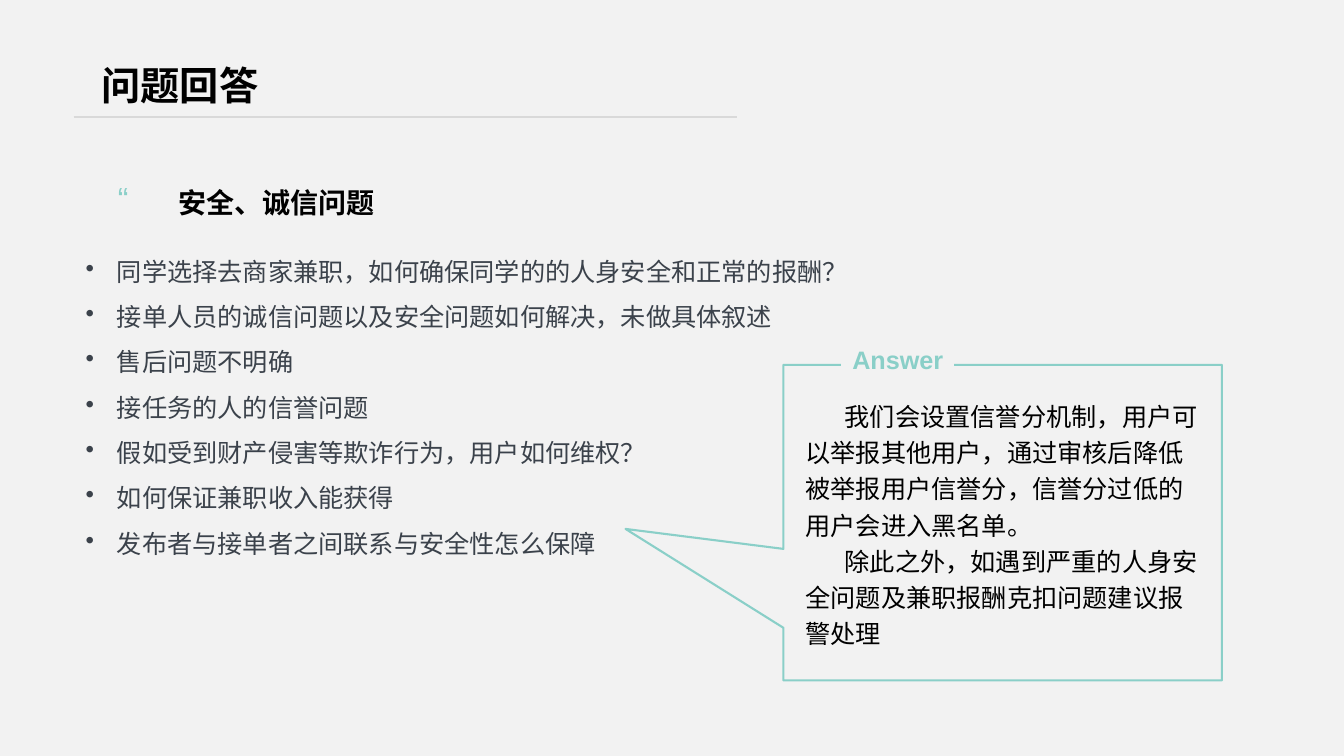
from dataclasses import dataclass

from lxml import etree
from pptx import Presentation
from pptx.dml.color import RGBColor
from pptx.enum.shapes import MSO_CONNECTOR, MSO_SHAPE
from pptx.enum.text import MSO_ANCHOR, PP_ALIGN
from pptx.oxml.ns import qn
from pptx.util import Inches, Pt

STRAIGHT = MSO_CONNECTOR.STRAIGHT
RECTANGLE, CALLOUT = MSO_SHAPE.RECTANGLE, MSO_SHAPE.RECTANGULAR_CALLOUT
TOP, MIDDLE, BOTTOM = MSO_ANCHOR.TOP, MSO_ANCHOR.MIDDLE, MSO_ANCHOR.BOTTOM
LEFT, CENTER = PP_ALIGN.LEFT, PP_ALIGN.CENTER


@dataclass(frozen=True)
class Theme:
    font: str = "Arial"
    paper: RGBColor = RGBColor(0xF2, 0xF2, 0xF2)
    ink: RGBColor = RGBColor(0, 0, 0)
    slate: RGBColor = RGBColor(0x3B, 0x42, 0x4B)
    mint: RGBColor = RGBColor(0x8A, 0xCF, 0xC8)
    rule: RGBColor = RGBColor(0xD9, 0xD9, 0xD9)
    title: float = 28
    quote: float = 22.8
    heading: float = 20
    body: float = 18
    stroke: float = 1.5


theme = Theme()
deck = Presentation()
deck.slide_width, deck.slide_height = Inches(13.33), Inches(7.5)
slide = deck.slides.add_slide(deck.slide_layouts[6])
slide.background.fill.solid()
slide.background.fill.fore_color.rgb = theme.paper


def place(left, top, width, height):
    column, row = deck.slide_width / 100, deck.slide_height / 100
    return [round(n) for n in (left * column, top * row, width * column, height * row)]


def write(holder, lines, size, color, bold=False, spacing=1.0, anchor=TOP,
          align=LEFT, margin=0.0, indent=0.0, bullet=None):
    frame = holder.text_frame
    frame.word_wrap = True
    frame.vertical_anchor = anchor
    frame.text = "\n".join(lines)
    for line in frame.paragraphs:
        line.alignment, line.line_spacing = align, spacing
        line.font.name, line.font.size = theme.font, Pt(size)
        line.font.bold, line.font.color.rgb = bold, color
        layout = line._p.get_or_add_pPr()
        layout.set("marL", str(Inches(margin)))
        layout.set("indent", str(Inches(indent)))
        if bullet:
            mark = etree.Element(qn("a:buChar"), char=bullet)
            layout.insert_element_before(mark, "a:tabLst", "a:defRPr", "a:extLst")


heading = slide.shapes.add_textbox(*place(12.53, 23.87, 45.84, 6.4))
write(heading, ["安全、诚信问题"], theme.heading, theme.ink, bold=True)

title = slide.shapes.add_textbox(*place(5.48, 4, 89.05, 11.07))
write(title, ["问题回答"], theme.title, theme.ink, bold=True, spacing=0.9,
      anchor=BOTTOM, margin=0.18)

rule_left, rule_top, rule_width, _ = place(5.48, 15.47, 49.36, 0)
title_rule = slide.shapes.add_connector(
    STRAIGHT, rule_left, rule_top, rule_left + rule_width, rule_top)
title_rule.line.color.rgb = theme.rule
title_rule.line.width = Pt(theme.stroke)
etree.SubElement(title_rule._element.spPr, qn("a:effectLst"))

bubble = slide.shapes.add_shape(CALLOUT, *place(58.29, 48.27, 32.63, 41.73))
bubble.adjustments[0], bubble.adjustments[1] = -0.86, 0.02
bubble.shadow.inherit = False
bubble.fill.background()
bubble.line.color.rgb = theme.mint
bubble.line.width = Pt(theme.stroke)

answer = slide.shapes.add_textbox(*place(59.19, 51.6, 31.06, 38.67))
write(answer, [
    "我们会设置信誉分机制，用户可以举报其他用户，通过审核后降低被举报用户信誉分，信誉分过低的用户会进入黑名单。",
    "除此之外，如遇到严重的人身安全问题及兼职报酬克扣问题建议报警处理",
], theme.body, theme.ink, spacing=1.2, indent=0.39)

answer_label = slide.shapes.add_shape(RECTANGLE, *place(62.64, 44.93, 8.33, 6))
answer_label.shadow.inherit = False
answer_label.fill.solid()
answer_label.fill.fore_color.rgb = theme.paper
answer_label.line.color.rgb = theme.paper
answer_label.line.width = Pt(theme.stroke / 2)
write(answer_label, ["Answer"], theme.body, theme.mint, bold=True, align=CENTER)
answer_label.text_frame.word_wrap = False

quote_mark = slide.shapes.add_textbox(*place(8.03, 23.33, 3.38, 5.73))
write(quote_mark, ["“"], theme.quote, theme.mint, anchor=MIDDLE)

questions = slide.shapes.add_textbox(*place(5.63, 31.2, 57.01, 43.07))
write(questions, [
    "同学选择去商家兼职，如何确保同学的的人身安全和正常的报酬？",
    "接单人员的诚信问题以及安全问题如何解决，未做具体叙述",
    "售后问题不明确",
    "接任务的人的信誉问题",
    "假如受到财产侵害等欺诈行为，用户如何维权？",
    "如何保证兼职收入能获得",
    "发布者与接单者之间联系与安全性怎么保障",
], theme.body, theme.slate, spacing=1.5, margin=0.31, indent=-0.31, bullet="•")

deck.save("out.pptx")
